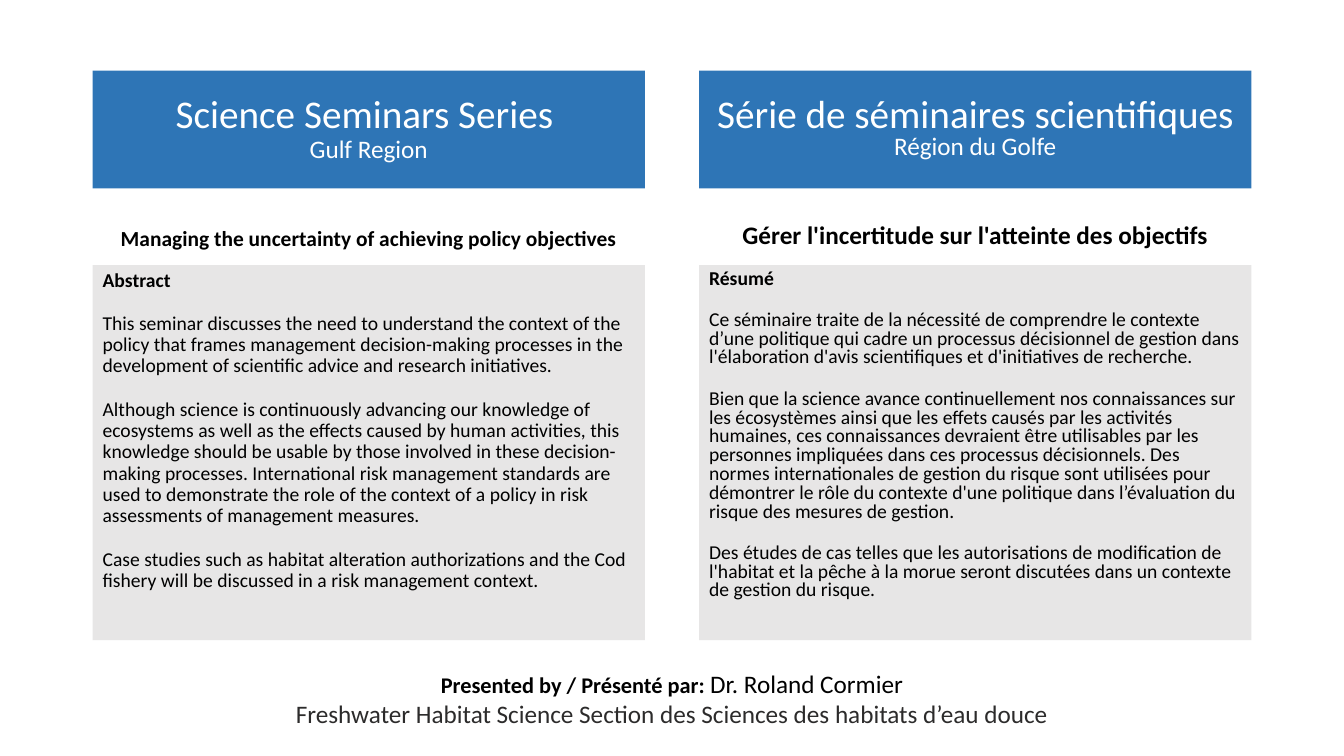
"""Build a bilingual seminar announcement slide."""
from pptx import Presentation
from pptx.dml.color import RGBColor
from pptx.enum.shapes import MSO_SHAPE
from pptx.enum.text import MSO_ANCHOR, PP_ALIGN
from pptx.util import Pt

RECTANGLE = MSO_SHAPE.RECTANGLE
TOP, MIDDLE, BOTTOM = MSO_ANCHOR.TOP, MSO_ANCHOR.MIDDLE, MSO_ANCHOR.BOTTOM
LEFT, CENTER = PP_ALIGN.LEFT, PP_ALIGN.CENTER
EMU_PER_PX = 9144
COLUMN_WIDTH = 548
BLUE, GREY, WHITE, BLACK, CHARCOAL = "2E75B6", "E7E6E6", "FFFFFF", "000000", "2C2B2B"

ENGLISH = {
    "left": 92,
    "series": "Science Seminars Series ",
    "region": "Gulf Region",
    "series_spacing": 0.9,
    "topic": "Managing the uncertainty of achieving policy objectives",
    "topic_size": 15.3,
    "topic_spacing": 0.8,
    "heading": "Abstract",
    "abstract": [
        "This seminar discusses the need to understand the context of the policy that frames management decision-making processes in the development of scientific advice and research initiatives.",
        "Although science is continuously advancing our knowledge of ecosystems as well as the effects caused by human activities, this knowledge should be usable by those involved in these decision-making processes. International risk management standards are used to demonstrate the role of the context of a policy in risk assessments of management measures.",
        "Case studies such as habitat alteration authorizations and the Cod fishery will be discussed in a risk management context.",
    ],
    "abstract_spacing": 0.9,
}
FRENCH = {
    "left": 694,
    "series": "Série de séminaires scientifiques",
    "region": "Région du Golfe",
    "series_spacing": 0.8,
    "topic": "Gérer l'incertitude sur l'atteinte des objectifs",
    "topic_size": 18,
    "topic_spacing": 0.9,
    "heading": "Résumé",
    "abstract": [
        "Ce séminaire traite de la nécessité de comprendre le contexte d’une politique qui cadre un processus décisionnel de gestion dans l'élaboration d'avis scientifiques et d'initiatives de recherche.",
        "Bien que la science avance continuellement nos connaissances sur les écosystèmes ainsi que les effets causés par les activités humaines, ces connaissances devraient être utilisables par les personnes impliquées dans ces processus décisionnels. Des normes internationales de gestion du risque sont utilisées pour démontrer le rôle du contexte d'une politique dans l’évaluation du risque des mesures de gestion.",
        "Des études de cas telles que les autorisations de modification de l'habitat et la pêche à la morue seront discutées dans un contexte de gestion du risque.",
    ],
    "abstract_spacing": 0.8,
}


def px(*lengths):
    """Turn pixel lengths into EMU."""
    return [length * EMU_PER_PX for length in lengths]


def rgb(hex_color):
    """Turn a hex string into a colour."""
    return RGBColor.from_string(hex_color)


def style_run(run, size, color=BLACK, bold=False):
    """Set the font of one run."""
    run.font.name = "Calibri"
    run.font.size = Pt(size)
    run.font.bold = bold
    run.font.color.rgb = rgb(color)


def add_panel(slide, box, fill, anchor):
    """Add a filled rectangle and return its text frame."""
    panel = slide.shapes.add_shape(RECTANGLE, *px(*box))
    panel.shadow.inherit = False
    panel.fill.solid()
    panel.fill.fore_color.rgb = rgb(fill)
    panel.line.fill.background()
    return prepare_frame(panel, anchor)


def add_label(slide, box, anchor):
    """Add an unfilled text box and return its text frame."""
    return prepare_frame(slide.shapes.add_textbox(*px(*box)), anchor)


def prepare_frame(holder, anchor):
    """Wrap and anchor the text of a shape."""
    frame = holder.text_frame
    frame.word_wrap = True
    frame.vertical_anchor = anchor
    return frame


def add_banner(slide, column):
    """Add the blue banner with series and region."""
    frame = add_panel(slide, (column["left"], 70, COLUMN_WIDTH, 117), BLUE, MIDDLE)
    title = frame.paragraphs[0]
    title.text = column["series"] + "\v" + column["region"]
    title.alignment = CENTER
    title.line_spacing = column["series_spacing"]
    for run, size in zip(title.runs, (28, 18)):
        style_run(run, size, WHITE)


def add_topic(slide, column):
    """Add the bold seminar topic."""
    frame = add_label(slide, (column["left"], 204, COLUMN_WIDTH, 49), BOTTOM)
    topic = frame.paragraphs[0]
    topic.text = column["topic"]
    topic.alignment = CENTER
    topic.line_spacing = column["topic_spacing"]
    style_run(topic.runs[0], column["topic_size"], bold=True)


def add_abstract(slide, column):
    """Add the grey panel with heading and abstract."""
    frame = add_panel(slide, (column["left"], 263, COLUMN_WIDTH, 372), GREY, TOP)
    frame.text = "\n".join([column["heading"], *column["abstract"]])
    for index, paragraph in enumerate(frame.paragraphs):
        paragraph.alignment = LEFT
        paragraph.line_spacing = column["abstract_spacing"]
        paragraph.space_before = Pt(10)
        paragraph.space_after = Pt(6)
        style_run(paragraph.runs[0], 14, bold=index == 0)


def add_presenter(slide):
    """Add the presenter and section lines."""
    frame = add_label(slide, (109, 658, 1116, 70), TOP)
    frame.text = "Presented by / Présenté par: \nFreshwater Habitat Science Section des Sciences des habitats d’eau douce"
    presenter, section = frame.paragraphs
    presenter.alignment = section.alignment = CENTER
    style_run(presenter.runs[0], 16, bold=True)
    speaker = presenter.add_run()
    speaker.text = "Dr. Roland Cormier"
    style_run(speaker, 18)
    style_run(section.runs[0], 18, CHARCOAL)


def main():
    """Build and save the slide."""
    deck = Presentation()
    deck.slide_width, deck.slide_height = px(1334, 750)
    slide = deck.slides.add_slide(deck.slide_layouts[6])
    for column in (ENGLISH, FRENCH):
        add_banner(slide, column)
        add_topic(slide, column)
        add_abstract(slide, column)
    add_presenter(slide)
    deck.save("out.pptx")


if __name__ == "__main__":
    main()
